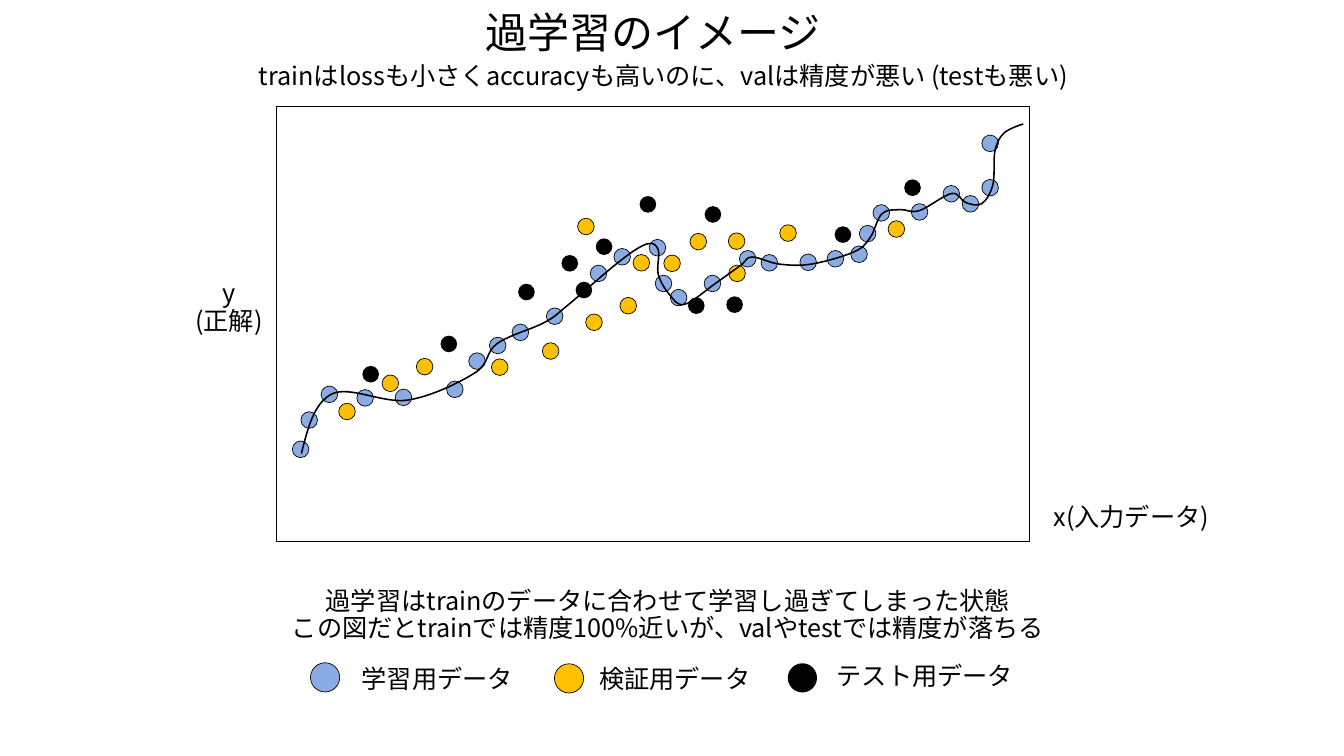
from dataclasses import dataclass

from lxml import etree
from pptx import Presentation
from pptx.dml.color import RGBColor
from pptx.enum.shapes import MSO_SHAPE
from pptx.enum.text import MSO_ANCHOR, MSO_AUTO_SIZE, PP_ALIGN
from pptx.oxml.ns import qn
from pptx.shapes.autoshape import Shape
from pptx.slide import Slide
from pptx.util import Cm, Length, Pt

OVAL = MSO_SHAPE.OVAL
RECTANGLE = MSO_SHAPE.RECTANGLE
MIDDLE = MSO_ANCHOR.MIDDLE
CENTER = PP_ALIGN.CENTER
FIT_SHAPE = MSO_AUTO_SIZE.SHAPE_TO_FIT_TEXT

BLACK = RGBColor(0x00, 0x00, 0x00)
BLUE = RGBColor(0x8B, 0xAC, 0xE3)
AMBER = RGBColor(0xFF, 0xC0, 0x00)
FONT = "Noto Sans CJK JP"
UNIT_CM = 2.54
POINT_SIZE = 0.33
KEY_SIZE = 0.58
INSET = 0.06

Point = tuple[float, float]


@dataclass(frozen=True)
class Label:
    text: str
    left: float
    top: float
    width: float
    height: float = 0.66
    size: int = 36


@dataclass(frozen=True)
class Series:
    color: RGBColor
    outlined: bool
    key: Point
    label: Label
    points: list[Point]


LABELS = [
    Label("過学習のイメージ", 7.25, 0.19, 11.41, 1.02, 60),
    Label("trainはlossも小さくaccuracyも高いのに、valは精度が悪い (testも悪い)",
          3.87, 1.21, 18.58),
    Label("過学習はtrainのデータに合わせて学習し過ぎてしまった状態\n"
          "この図だとtrainでは精度100%近いが、valやtestでは精度が落ちる",
          3.96, 11.62, 18.58, 1.2),
    Label("x(入力データ)", 20.5, 9.96, 3.89),
    Label("y\n(正解)", 3.67, 5.52, 1.74, 1.2),
]

TRAINING = Series(BLUE, True, (6.16, 13.15), Label("学習用データ", 6.93, 13.16, 3.49), [
    (5.8, 8.75), (5.97, 8.17), (6.37, 7.66), (7.08, 7.73), (7.84, 7.72),
    (8.86, 7.56), (9.3, 7), (9.71, 6.69), (10.16, 6.43), (10.84, 6.11),
    (11.71, 5.26), (12.18, 4.93), (12.88, 4.75), (13, 5.46), (13.3, 5.74),
    (13.97, 5.46), (14.67, 4.97), (15.1, 5.05), (15.87, 5.04), (16.41, 4.97),
    (16.88, 4.88), (17.05, 4.47), (17.32, 4.06), (18.08, 4.04), (18.71, 3.68),
    (19.09, 3.88), (19.48, 3.56), (19.48, 2.68),
])
VALIDATION = Series(AMBER, True, (11, 13.17), Label("検証用データ", 11.64, 13.16, 3.49), [
    (6.72, 8), (7.58, 7.44), (8.26, 7.11), (9.75, 7.12), (10.76, 6.8),
    (11.46, 4.33), (11.62, 6.23), (12.3, 5.9), (12.56, 5.05), (13.17, 5.06),
    (13.69, 4.63), (14.45, 4.62), (14.46, 5.26), (15.47, 4.46), (17.62, 4.38),
])
TEST = Series(BLACK, False, (15.63, 13.16), Label("テスト用データ", 16.4, 13.11, 3.9), [
    (7.19, 7.26), (8.74, 6.66), (10.28, 5.63), (11.14, 5.06), (11.42, 5.59),
    (11.82, 4.73), (12.69, 3.89), (13.65, 5.9), (13.98, 4.09), (14.41, 5.88),
    (16.56, 4.49), (17.94, 3.56),
])

FITTED_CURVE = [
    (5.98, 9), (6.58, 7.82), (8.08, 7.94), (9.42, 7.4), (9.86, 6.82),
    (10.8, 6.4), (11.26, 6.06), (12.3, 5.18), (12.84, 4.84), (13.06, 4.96),
    (13.06, 5.44), (13.28, 5.84), (13.58, 6.04), (14.2, 5.62), (14.7, 5.26),
    (14.92, 5.1), (15.46, 5.24), (16.1, 5.24), (16.94, 5), (17.26, 4.72),
    (17.5, 4.24), (17.86, 4.16), (18.24, 4.18), (18.88, 3.84), (19.16, 4.02),
    (19.48, 4.04), (19.7, 3.66), (19.74, 3), (19.92, 2.64), (20.3, 2.46),
]


def units(value: float) -> Length:
    return Cm(value * UNIT_CM)


def outline(shape: Shape, weight: float) -> None:
    shape.line.color.rgb = BLACK
    shape.line.width = Pt(weight)


def add_label(slide: Slide, label: Label) -> None:
    box = slide.shapes.add_textbox(*map(units, (label.left, label.top, label.width, label.height)))
    frame = box.text_frame
    frame.text = label.text
    frame.word_wrap = True
    frame.auto_size = FIT_SHAPE
    frame.vertical_anchor = MIDDLE
    frame.margin_left = frame.margin_right = units(INSET)
    frame.margin_top = frame.margin_bottom = units(INSET)
    for paragraph in frame.paragraphs:
        paragraph.alignment = CENTER
        paragraph.line_spacing = 0.9
        for run in paragraph.runs:
            run.font.name = FONT
            run.font.size = Pt(label.size)
            run.font.color.rgb = BLACK
            east_asian = etree.SubElement(run.font._element, qn("a:ea"))
            east_asian.set("typeface", FONT)


def add_dot(slide: Slide, position: Point, size: float, series: Series) -> None:
    dot = slide.shapes.add_shape(OVAL, *map(units, (*position, size, size)))
    dot.shadow.inherit = False
    dot.fill.solid()
    dot.fill.fore_color.rgb = series.color
    if series.outlined:
        outline(dot, 1)
    else:
        dot.line.fill.background()


def add_plot_area(slide: Slide) -> None:
    area = slide.shapes.add_shape(RECTANGLE, *map(units, (5.49, 2.11, 14.93, 8.64)))
    area.shadow.inherit = False
    area.fill.background()
    outline(area, 1)


def smooth_segments(curve: Shape) -> None:
    knots = [(int(pt.get("x")), int(pt.get("y"))) for pt in curve._element.iter(qn("a:pt"))]
    segments = list(curve._element.iter(qn("a:lnTo")))
    slopes = [((after[0] - before[0]) / 6, (after[1] - before[1]) / 6)
              for before, after in zip(knots, knots[2:])]
    slopes = [(0, 0), *slopes, (0, 0)]
    for index, segment in enumerate(segments):
        start, end = knots[index:index + 2]
        leaving, arriving = slopes[index:index + 2]
        departure = (start[0] + leaving[0], start[1] + leaving[1])
        approach = (end[0] - arriving[0], end[1] - arriving[1])
        if index == 0:
            departure = ((start[0] + approach[0]) / 2, (start[1] + approach[1]) / 2)
        bezier = etree.Element(qn("a:cubicBezTo"))
        for x, y in (departure, approach, end):
            etree.SubElement(bezier, qn("a:pt"), x=str(round(x)), y=str(round(y)))
        segment.getparent().replace(segment, bezier)


def add_fitted_curve(slide: Slide) -> None:
    knots = [(units(x), units(y)) for x, y in FITTED_CURVE]
    builder = slide.shapes.build_freeform(*knots[0])
    builder.add_line_segments(knots[1:], close=False)
    curve = builder.convert_to_shape()
    curve.shadow.inherit = False
    curve.fill.background()
    outline(curve, 2.25)
    smooth_segments(curve)


def main() -> None:
    presentation = Presentation()
    presentation.slide_width = Cm(67.73)
    presentation.slide_height = Cm(38.1)
    slide = presentation.slides.add_slide(presentation.slide_layouts[6])
    add_plot_area(slide)
    for series in (TRAINING, VALIDATION, TEST):
        for position in series.points:
            add_dot(slide, position, POINT_SIZE, series)
        add_dot(slide, series.key, KEY_SIZE, series)
        add_label(slide, series.label)
    add_fitted_curve(slide)
    for label in LABELS:
        add_label(slide, label)
    presentation.save("out.pptx")


if __name__ == "__main__":
    main()
